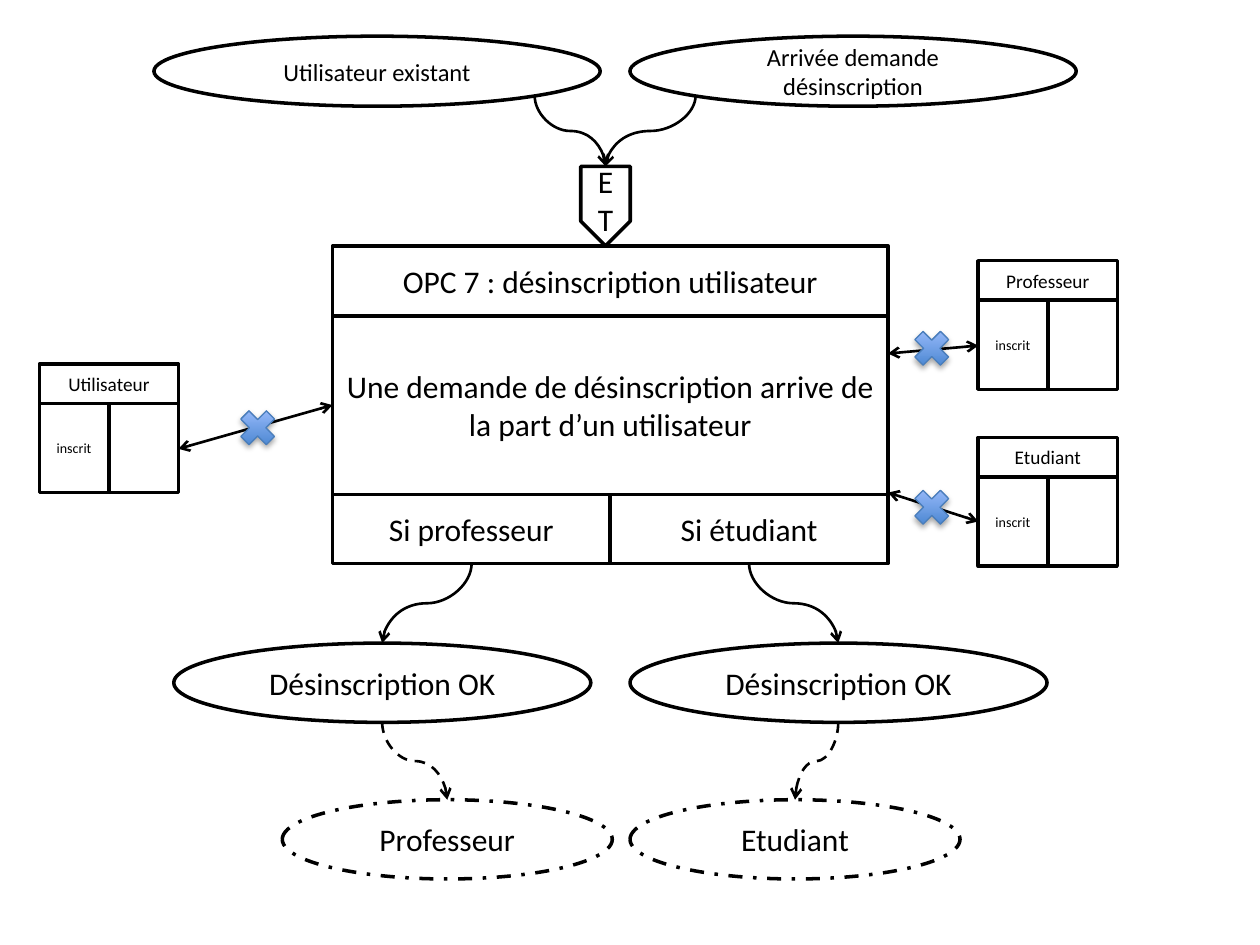
import pptx
import pptx.util
import pptx.dml.color
import pptx.enum.dml
import pptx.enum.shapes
import pptx.enum.text
import pptx.oxml.ns
import lxml.etree

Pt = pptx.util.Pt
SHAPE = pptx.enum.shapes.MSO_SHAPE
CONN = pptx.enum.shapes.MSO_CONNECTOR
DASH = pptx.enum.dml.MSO_LINE
qn = pptx.oxml.ns.qn
COLORS = {"ink": "000000", "paper": "FFFFFF"}
INK = pptx.dml.color.RGBColor.from_string(COLORS["ink"])
PAPER = pptx.dml.color.RGBColor.from_string(COLORS["paper"])

prs = pptx.Presentation()
prs.slide_width, prs.slide_height = Pt(720), Pt(540)
s = prs.slides.add_slide(prs.slide_layouts[6])


def add_box(kind, x, y, w, h, text="", size=18, dash=None):
    sp = s.shapes.add_shape(kind, Pt(x), Pt(y), Pt(w), Pt(h))
    sp.shadow.inherit = False
    sp.fill.solid()
    sp.fill.fore_color.rgb = PAPER
    sp.line.color.rgb = INK
    sp.line.width = Pt(2)
    if dash:
        sp.line.dash_style = dash
    if text:
        p = sp.text_frame.paragraphs[0]
        p.text = text
        p.alignment = pptx.enum.text.PP_ALIGN.CENTER
        p.font.name, p.font.size = "Calibri", Pt(size)
        p.font.color.rgb = INK
    return sp


def add_arrow(kind, x1, y1, x2, y2, ends, dash=None, rot=0):
    c = s.shapes.add_connector(kind, Pt(x1), Pt(y1), Pt(x2), Pt(y2))
    c.line.color.rgb = INK
    c.line.width = Pt(1.5)
    if dash:
        c.line.dash_style = dash
    spPr = c._element.spPr
    for end in ends:
        lxml.etree.SubElement(spPr.find(qn("a:ln")), qn(end), type="arrow")
    lxml.etree.SubElement(spPr, qn("a:effectLst"))
    if rot:
        spPr.find(qn("a:xfrm")).set("rot", str(rot * 60000))


# Operation block
left, width = 190, 317.5
add_box(SHAPE.RECTANGLE, left, 140.5, width, 40, "OPC 7 : désinscription utilisateur")
add_box(SHAPE.RECTANGLE, left, 180.5, width, 102,
        "Une demande de désinscription arrive de la part d’un utilisateur")
for i, text in enumerate(["Si professeur", "Si étudiant"]):
    add_box(SHAPE.RECTANGLE, left + i * width / 2, 282.5, width / 2, 39.5, text)

# Synchronisation marker
sync = add_box(SHAPE.PENTAGON, 323.3, 103.7, 45.4, 28.3, "ET")
sync.rotation = 90
sync.text_frame._txBody.bodyPr.set("vert", "vert270")

# Events, results and actors
for x, y, w, h, text, size, dash in [
    (88, 20.7, 255, 40, "Utilisateur existant", 14, None),
    (360, 20.7, 255, 40, "Arrivée demande désinscription", 14, None),
    (99.3, 367.5, 238.3, 45.3, "Désinscription OK", 18, None),
    (360, 367.5, 238.3, 45.3, "Désinscription OK", 18, None),
    (161.3, 457, 188.6, 45.3, "Professeur", 18, DASH.DASH_DOT),
    (360, 457, 188.6, 45.3, "Etudiant", 18, DASH.DASH_DOT),
]:
    add_box(SHAPE.OVAL, x, y, w, h, text, size, dash)

# Entities
for x, y, name in [(22.5, 208, "Utilisateur"), (559, 149, "Professeur"), (559, 250, "Etudiant")]:
    add_box(SHAPE.RECTANGLE, x, y, 79.5, 22.5, name, 11)
    add_box(SHAPE.RECTANGLE, x, y + 22.5, 39.75, 51, "inscrit", 8)
    add_box(SHAPE.RECTANGLE, x + 39.75, y + 22.5, 39.75, 51)

# Curved arrows leave and arrive vertically, so each is a turned connector
for x1, y1, x2, y2, dash in [
    (305.5, 54.7, 346, 95, None),
    (397.5, 54.7, 346, 95, None),
    (269.5, 322, 218.4, 367.5, None),
    (428, 322, 479, 367.5, None),
    (218.4, 412.8, 255.6, 457, DASH.DASH),
    (479, 412.8, 454.3, 457, DASH.DASH),
]:
    cx, cy = (x1 + x2) / 2, (y1 + y2) / 2
    dx, dy = abs(x2 - x1) / 2, (y2 - y1) / 2
    side, rot = (1, 270) if x2 > x1 else (-1, 90)
    add_arrow(CONN.CURVE, cx + side * dy, cy - dx, cx - side * dy, cy + dx,
              ["a:tailEnd"], dash, rot)

# Two-way links to the entities
for ends in [(190, 231.5, 102, 256.5), (559, 298, 507.5, 281.5), (559, 197.5, 507.5, 202)]:
    add_arrow(CONN.STRAIGHT, *ends, ["a:headEnd", "a:tailEnd"])

# Crosses on the links, in the theme's own gradient and shadow
for x, y in [(133.2, 230.4), (518.4, 185), (518.4, 275.8)]:
    s.shapes.add_shape(SHAPE.MATH_MULTIPLY, Pt(x), Pt(y), Pt(28.1), Pt(28.1))

prs.save("out.pptx")
